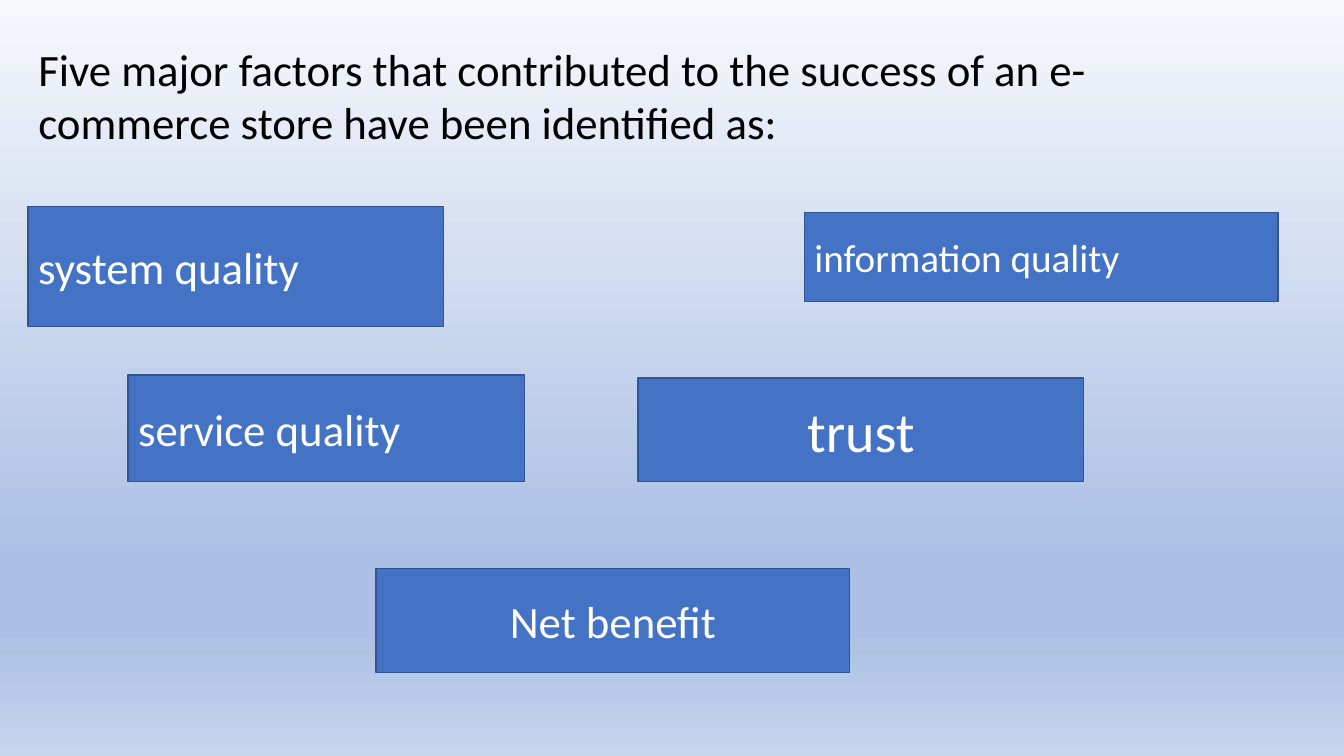
from lxml import etree
from pptx import Presentation
from pptx import util as u
from pptx.dml.color import RGBColor
from pptx.enum import shapes, text
from pptx.oxml import ns


def colour(value):
    return RGBColor.from_string(value)


def write(frame, words, size=32, ink="FFFFFF", font="Calibri",
          align=text.PP_ALIGN.LEFT, anchor=text.MSO_ANCHOR.MIDDLE):
    frame.word_wrap = True
    frame.auto_size = text.MSO_AUTO_SIZE.NONE
    frame.vertical_anchor = anchor
    para = frame.paragraphs[0]
    para.alignment = align
    span = para.add_run()
    span.text = words
    span.font.name = font
    span.font.size = u.Pt(size)
    span.font.color.rgb = colour(ink)


class Painter:
    fill = "4472C4"
    edge = "325491"
    ink = "000000"

    def __init__(self, deck):
        self.deck = deck
        self.page = deck.slides.add_slide(deck.slide_layouts[5])

    def place(self, left, top, width, height):
        across, down = self.deck.slide_width / 100, self.deck.slide_height / 100
        return [u.Emu(round(length)) for length in
                (left * across, top * down, width * across, height * down)]

    def backdrop(self, stops):
        fill = self.page.background.fill
        fill.gradient()
        fill.gradient_angle = 270
        stop_list = next(self.page.element.iter(ns.qn("a:gsLst")))
        for stop in list(stop_list):
            stop_list.remove(stop)
        for percent, value in stops:
            stop = etree.SubElement(stop_list, ns.qn("a:gs"), pos=str(percent * 1000))
            etree.SubElement(stop, ns.qn("a:srgbClr"), val=value)

    def title(self, words, area):
        box = self.page.shapes.title
        box.left, box.top, box.width, box.height = self.place(*area)
        write(box.text_frame, words, ink=self.ink, anchor=text.MSO_ANCHOR.TOP)

    def factor(self, words, area, **style):
        box = self.page.shapes.add_shape(shapes.MSO_SHAPE.RECTANGLE, *self.place(*area))
        box.shadow.inherit = False
        box.fill.solid()
        box.fill.fore_color.rgb = colour(self.fill)
        box.line.color.rgb = colour(self.edge)
        box.line.width = u.Pt(1)
        write(box.text_frame, words, **style)


def main():
    deck = Presentation()
    deck.slide_width, deck.slide_height = u.Inches(13.33), u.Inches(7.5)
    painter = Painter(deck)
    painter.backdrop([(0, "F6F8FC"), (74, "ABC0E4"), (83, "ABC0E4"), (100, "C7D5ED")])
    painter.title(
        "Five major factors that contributed to the success of an "
        "e-commerce store have been identified as:", (2.1, 4.8, 90.83, 15.73))
    centre = text.PP_ALIGN.CENTER
    painter.factor("service quality", (9.53, 49.6, 29.48, 14.13))
    painter.factor("system quality", (2.1, 27.33, 30.9, 15.87))
    painter.factor("information quality", (59.85, 28.13, 35.25, 11.73), size=28)
    painter.factor("trust", (47.48, 50, 33.15, 13.73), size=40, align=centre)
    painter.factor("Net benefit", (27.98, 75.2, 35.25, 13.73), align=centre)
    deck.save("out.pptx")


if __name__ == "__main__":
    main()
